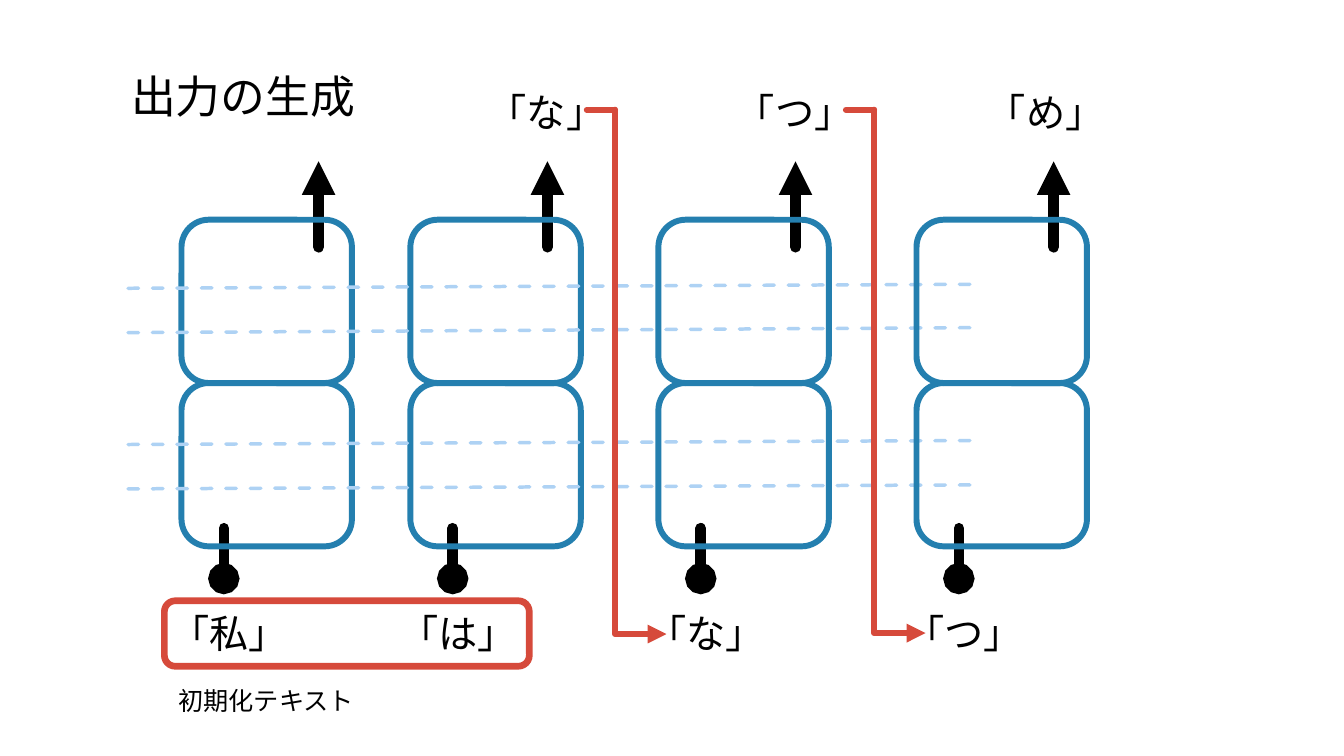
"""Build the slide on generating output one token at a time."""
from lxml import etree
from pptx import Presentation
from pptx import util as u
from pptx.dml.color import RGBColor
from pptx.enum import dml, shapes, text
from pptx.oxml import ns

TITLE = ("出力の生成", 120, 63, 395, 94, 32)
CAPTION = ("初期化テキスト", 167, 675, 197, 40, 18)
COLUMNS = [(180, "「私」"), (407, "「は」"), (653, "「な」"), (909, "「つ」")]
OUTPUTS = [(474, "「な」"), (720, "「つ」"), (969, "「め」")]
DASHES = [(286, 282), (330, 325), (441, 437), (485, 481)]
FEEDBACKS = [(610, 629), (867, 628)]
PROMPT = (163, 596, 362, 65)
COLORS = {"ink": "000000", "cell": "247FAF", "state": "AED2F4", "loop": "D64A3B"}
FONT = "Calibri"
CELL_W, CELL_H, CELL_TOP = 169, 162, 218
TOKEN_W, TOKEN_H, TOKEN_SIZE = 138, 57, 28
LOOP_TOP, LOOP_REACH, LOOP_STUB = 109, 51, 28


def px(n):
    return u.Emu(round(n * 9144))


def rgb(name):
    return RGBColor.from_string(COLORS[name])


def style_line(shape, color, width):
    shape.line.color.rgb = rgb(color)
    shape.line.width = u.Pt(width)


def add_line(parent, ends, color, width, kind=shapes.MSO_CONNECTOR.STRAIGHT,
             dash=None, **arrows):
    c = parent.add_connector(kind, *map(px, ends))
    style_line(c, color, width)
    if dash:
        c.line.dash_style = dash
    sp_pr = c._element.spPr
    ln = sp_pr.find(ns.qn("a:ln"))
    ln.set("cap", "rnd")
    etree.SubElement(ln, ns.qn("a:round"))
    for end in ("headEnd", "tailEnd"):
        if end in arrows:
            etree.SubElement(ln, ns.qn("a:" + end), type=arrows[end])
    etree.SubElement(sp_pr, ns.qn("a:effectLst"))
    return c


def add_box(parent, rect, color, width):
    sp = parent.add_shape(shapes.MSO_SHAPE.ROUNDED_RECTANGLE, *map(px, rect))
    sp.shadow.inherit = False
    sp.fill.background()
    style_line(sp, color, width)


def write(sp, words, size, wrap):
    tf = sp.text_frame
    frame = {"word_wrap": wrap, "vertical_anchor": text.MSO_ANCHOR.TOP,
             "auto_size": text.MSO_AUTO_SIZE.SHAPE_TO_FIT_TEXT}
    for name, value in frame.items():
        setattr(tf, name, value)
    p = tf.paragraphs[0]
    p.alignment = text.PP_ALIGN.LEFT
    r = p.add_run()
    r.text = words
    for name, value in {"size": u.Pt(size), "name": FONT}.items():
        setattr(r.font, name, value)
    r.font.color.rgb = rgb("ink")


def add_text(parent, words, x, y, w, h, size):
    write(parent.add_textbox(*map(px, (x, y, w, h))), words, size, False)


def add_token(parent, words, x, y):
    add_text(parent, words, x, y, TOKEN_W, TOKEN_H, TOKEN_SIZE)


def add_column(s, x, token):
    g = s.shapes.add_group_shape().shapes
    out_x, in_x = x + 136, x + 42
    add_line(g, (out_x, 160, out_x, 245), "ink", 8, headEnd="triangle")
    add_box(g, (x, CELL_TOP, CELL_W, CELL_H), "cell", 4.25)
    add_line(g, (in_x, 524, in_x, 574), "ink", 7.5, tailEnd="oval")
    add_box(g, (x, CELL_TOP + CELL_H, CELL_W, CELL_H), "cell", 4.25)
    add_token(g, token, x - 21, 600)


def add_feedback(s, x, bottom):
    g = s.shapes.add_group_shape().shapes
    drop = bottom - LOOP_TOP
    left = x + (LOOP_REACH - drop) / 2
    top = LOOP_TOP + (drop - LOOP_REACH) / 2
    c = add_line(g, (left + drop, top, left, top + LOOP_REACH), "loop", 4.5,
                 kind=shapes.MSO_CONNECTOR.ELBOW, tailEnd="triangle")
    sp_pr = c._element.spPr
    sp_pr.find(ns.qn("a:prstGeom")).set("prst", "bentConnector2")
    sp_pr.find(ns.qn("a:xfrm")).set("rot", str(270 * 60000))
    add_line(g, (x - LOOP_STUB, LOOP_TOP, x, LOOP_TOP), "loop", 4.25)


def main():
    prs = Presentation()
    prs.slide_width, prs.slide_height = px(1333), px(750)
    s = prs.slides.add_slide(prs.slide_layouts[5])
    words, *rect, size = TITLE
    title = s.shapes.title
    for name, value in zip(("left", "top", "width", "height"), rect):
        setattr(title, name, px(value))
    write(title, words, size, True)

    for column in COLUMNS[:-1]:
        add_column(s, *column)
    for start, end in DASHES:
        add_line(s.shapes, (127, start, 973, end), "state", 2.5,
                 dash=dml.MSO_LINE.DASH)
    add_column(s, *COLUMNS[-1])
    for x, token in OUTPUTS:
        add_token(s.shapes, token, x, 83)
    for feedback in FEEDBACKS:
        add_feedback(s, *feedback)
    add_box(s.shapes, PROMPT, "loop", 4.75)
    add_text(s.shapes, *CAPTION)
    prs.save("out.pptx")


if __name__ == "__main__":
    main()
